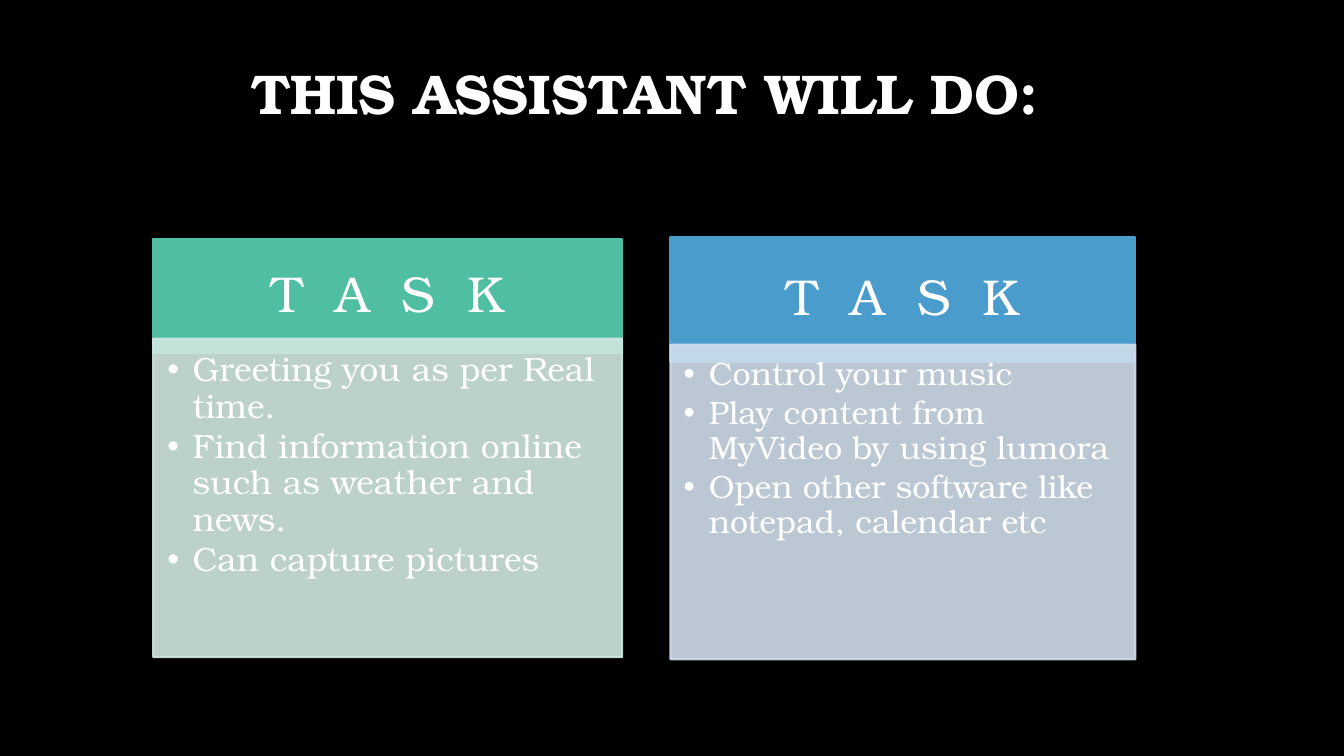
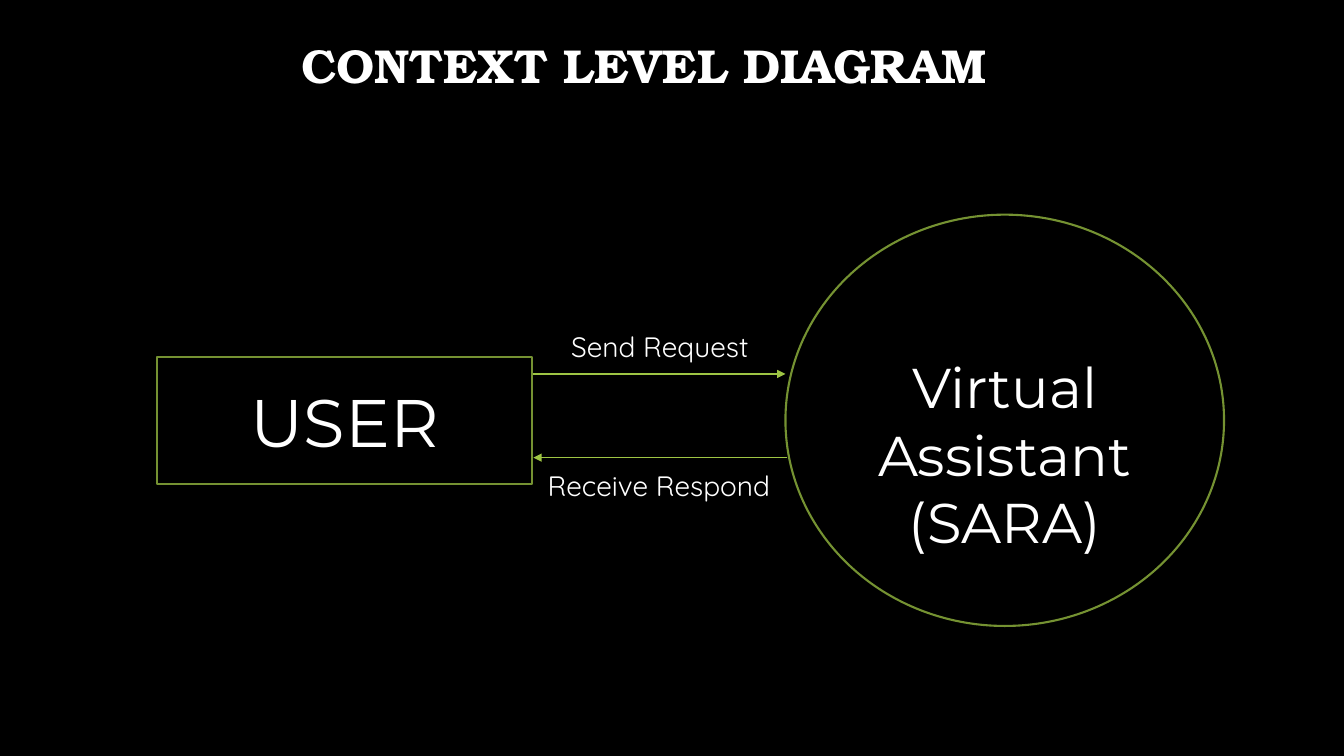
from lxml.etree import SubElement
from pptx import Presentation
from pptx.dml.color import RGBColor
from pptx.enum.shapes import MSO_CONNECTOR, MSO_SHAPE
from pptx.enum.text import MSO_ANCHOR, MSO_AUTO_SIZE, PP_ALIGN
from pptx.oxml.ns import qn
from pptx.util import Inches, Pt

BLACK = RGBColor(0x00, 0x00, 0x00)
WHITE = RGBColor(0xFF, 0xFF, 0xFF)
OLIVE = RGBColor(0x75, 0x92, 0x32)
LIME = RGBColor(0x9E, 0xC5, 0x44)
GREEN = RGBColor(0x50, 0xBE, 0xA3)
PALE_GREEN = RGBColor(0xD0, 0xE8, 0xE0)
BLUE = RGBColor(0x4A, 0x9C, 0xCC)
PALE_BLUE = RGBColor(0xD0, 0xDE, 0xEC)

SERIF = "TeX Gyre Bonum"
SANS = "Montserrat"
LABEL = "Quicksand"

TASK_CARDS = [
    {
        "heading": "T  A  S  K",
        "items": [
            "Greeting you as per Real time.",
            "Find information online such as weather and news.",
            "Can capture pictures",
        ],
        "header_box": (1.52, 2.37, 4.65, 1.13),
        "list_box": (1.52, 3.36, 4.65, 3.16),
        "margins": (0.14, 0.14, 0.19, 0.21),
        "size": 24,
        "colors": (GREEN, PALE_GREEN),
    },
    {
        "heading": "T  A  S  K",
        "items": [
            "Control your music",
            "Play content from MyVideo by using lumora",
            "Open other software like notepad, calendar etc",
        ],
        "header_box": (6.65, 2.35, 4.61, 1.24),
        "list_box": (6.65, 3.42, 4.61, 3.12),
        "margins": (0.13, 0.13, 0.18, 0.2),
        "size": 23,
        "colors": (BLUE, PALE_BLUE),
    },
]

NO_MARGINS = (0.1, 0.05, 0.1, 0.05)
DIAGRAM_NODES = [
    (MSO_SHAPE.RECTANGLE, (1.56, 3.54, 3.72, 1.26), ["USER"], 48, NO_MARGINS),
    (MSO_SHAPE.FLOWCHART_CONNECTOR, (7.79, 2.13, 4.35, 4.08),
     ["Virtual", "Assistant", "(SARA)"], 40, (0.1, 0.71, 0.1, 0.05)),
]
DIAGRAM_FLOWS = [
    ("Send Request", (5.42, 3.22, 2.25, 0.44), (5.29, 3.71), (7.79, 3.71)),
    ("Receive Respond", (4.92, 4.6, 3.23, 0.44), (7.81, 4.54), (5.29, 4.54)),
]


def place(shape, box):
    shape.left, shape.top, shape.width, shape.height = map(Inches, box)


def write(shape, lines, font_name, size, align=PP_ALIGN.CENTER, spacing=1.0,
          anchor=MSO_ANCHOR.MIDDLE, margins=NO_MARGINS, bold=False):
    frame = shape.text_frame
    frame.text = "\n".join(lines)
    frame.word_wrap = True
    frame.auto_size = MSO_AUTO_SIZE.NONE
    frame.vertical_anchor = anchor
    (frame.margin_left, frame.margin_top,
     frame.margin_right, frame.margin_bottom) = map(Inches, margins)
    for paragraph in frame.paragraphs:
        paragraph.alignment = align
        paragraph.line_spacing = spacing
        paragraph.space_before = Pt(0)
        paragraph.font.name = font_name
        paragraph.font.size = Pt(size)
        paragraph.font.bold = bold
        paragraph.font.color.rgb = WHITE


def paint(shape, fill, line, opacity=None):
    shape.fill.solid()
    shape.fill.fore_color.rgb = fill
    shape.line.color.rgb = line
    shape.line.width = Pt(1.5)
    if opacity:
        for color in shape._element.spPr.iter(qn("a:srgbClr")):
            SubElement(color, qn("a:alpha"), val=str(opacity * 1000))


def add_block(slide, kind, box, fill, line):
    shape = slide.shapes.add_shape(kind, *map(Inches, box))
    shape.shadow.inherit = False
    paint(shape, fill, line)
    return shape


def add_slide(presentation, layout_index, title, size, box):
    slide = presentation.slides.add_slide(presentation.slide_layouts[layout_index])
    place(slide.shapes.title, box)
    write(slide.shapes.title, [title], SERIF, size, spacing=0.9, bold=True)
    return slide


def add_bullets(paragraph):
    paragraph.space_after = Pt(3)
    properties = paragraph._p.get_or_add_pPr()
    properties.set("marL", str(Inches(0.25)))
    properties.set("indent", str(-Inches(0.25)))
    SubElement(properties, qn("a:buChar"), char="•")
    default_run = properties.find(qn("a:defRPr"))
    if default_run is not None:
        properties.append(default_run)


def add_task_card(slide, card, body):
    strong, pale = card["colors"]
    header = add_block(slide, MSO_SHAPE.RECTANGLE, card["header_box"], strong, strong)
    write(header, [card["heading"]], SERIF, 36, spacing=0.9)
    body._element.addprevious(header._element)
    place(body, card["list_box"])
    paint(body, pale, pale, opacity=90)
    write(body, card["items"], SERIF, card["size"], PP_ALIGN.LEFT, 0.9,
          MSO_ANCHOR.TOP, card["margins"])
    for paragraph in body.text_frame.paragraphs:
        add_bullets(paragraph)


def add_arrow(slide, start, end):
    arrow = slide.shapes.add_connector(
        MSO_CONNECTOR.STRAIGHT, *map(Inches, start + end))
    arrow.line.color.rgb = LIME
    arrow.line.width = Pt(1)
    SubElement(arrow.line._get_or_add_ln(), qn("a:tailEnd"), type="triangle")
    SubElement(arrow._element.spPr, qn("a:effectLst"))


def build_tasks(presentation):
    slide = add_slide(presentation, 3, "THIS ASSISTANT WILL DO:", 40,
                      (1.52, 0.26, 9.75, 1.4))
    bodies = [slide.placeholders[1], slide.placeholders[2]]
    for card, body in zip(TASK_CARDS, bodies):
        add_task_card(slide, card, body)


def build_diagram(presentation):
    slide = add_slide(presentation, 5, "CONTEXT LEVEL DIAGRAM", 34,
                      (0.73, -0.05, 11.32, 1.45))
    for kind, box, lines, size, margins in DIAGRAM_NODES:
        node = add_block(slide, kind, box, BLACK, OLIVE)
        write(node, lines, SANS, size, margins=margins)
    for text, box, start, end in DIAGRAM_FLOWS:
        add_arrow(slide, start, end)
        label = slide.shapes.add_textbox(*map(Inches, box))
        write(label, [text], LABEL, 20, anchor=MSO_ANCHOR.TOP)


def main():
    presentation = Presentation()
    presentation.slide_width = Inches(13.33)
    presentation.slide_height = Inches(7.5)
    background = presentation.slide_master.background.fill
    background.solid()
    background.fore_color.rgb = BLACK
    build_tasks(presentation)
    build_diagram(presentation)
    presentation.save("out.pptx")


if __name__ == "__main__":
    main()
